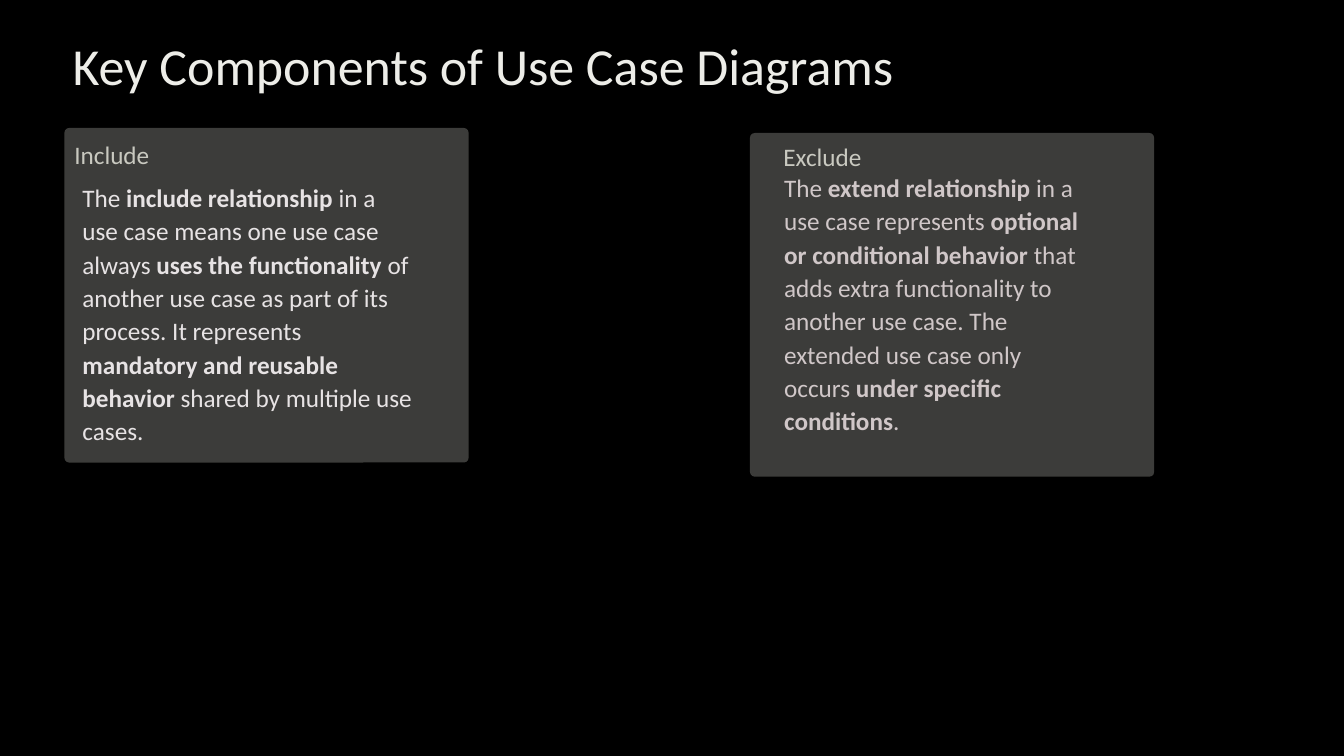
from pptx import Presentation
from pptx.dml.color import RGBColor
from pptx.enum import shapes, text
from pptx.util import Pt

LEFT, CENTER = text.PP_ALIGN.LEFT, text.PP_ALIGN.CENTER


def color(hex_string):
    return RGBColor.from_string(hex_string)


def add_text(slide, box, content, size=18, fill="FFFFFF", spacing=22.9,
             align=LEFT, inset=(7.2, 3.6)):
    """Add a one-paragraph text box; parts between ** marks are bold."""
    sp = slide.shapes.add_textbox(*map(Pt, box))
    tf = sp.text_frame
    tf.word_wrap = True
    tf.margin_left = tf.margin_right = Pt(inset[0])
    tf.margin_top = tf.margin_bottom = Pt(inset[1])
    p = tf.paragraphs[0]
    p.alignment = align
    p.line_spacing = Pt(spacing)
    for i, part in enumerate(content.split("**")):
        r = p.add_run()
        r.text = part
        r.font.name = "Calibri"
        r.font.size = Pt(size)
        r.font.bold = i % 2 == 1
        r.font.color.rgb = color(fill)


def add_title(slide, box, content):
    add_text(slide, box, content, size=37.1, fill="EDEDE8", spacing=46.2,
             inset=(0, 0))


def add_card(slide, box, heading, body, heading_box, body_box, body_fill,
             heading_align=LEFT):
    """Draw a panel; heading_box and body_box are relative to its corner."""
    x, y = box[:2]
    sp = slide.shapes.add_shape(shapes.MSO_SHAPE.ROUNDED_RECTANGLE,
                                *map(Pt, box))
    sp.adjustments[0] = 0.014
    sp.shadow.inherit = False
    sp.fill.solid()
    sp.fill.fore_color.rgb = color("3C3C3A")
    sp.line.fill.background()

    def inside(part):
        return (x + part[0], y + part[1], *part[2:])

    add_text(slide, inside(heading_box), heading, fill="C9C9C0",
             align=heading_align)
    add_text(slide, inside(body_box), body, fill=body_fill, spacing=23.8)


def main():
    prs = Presentation()
    prs.slide_width, prs.slide_height = Pt(960), Pt(540)
    slide = prs.slides.add_slide(prs.slide_layouts[6])
    slide.background.fill.solid()
    slide.background.fill.fore_color.rgb = color("000000")

    add_title(slide, (52, 22.3, 740, 46.8),
              "Key Components of Use Case Diagrams")
    add_card(slide, (46, 91.4, 288.7, 239), "Include",
             "The **include relationship** in a use case means one use case "
             "always **uses the functionality** of another use case as part "
             "of its process. It represents **mandatory and reusable "
             "behavior** shared by multiple use cases.",
             heading_box=(0, 3.6, 73.4, 29.5),
             body_box=(5.8, 33.1, 251.3, 199.4), body_fill="E7E3E4")
    add_card(slide, (535.7, 95, 288.7, 245.5), "Exclude",
             "The **extend relationship** in a use case represents "
             "**optional or conditional behavior** that adds extra "
             "functionality to another use case. The extended use case only "
             "occurs **under specific conditions**.",
             heading_box=(12.2, 0.8, 79.2, 28.8),
             body_box=(17.3, 22.4, 231.8, 199.4), body_fill="D0C7C8",
             heading_align=CENTER)
    prs.save("out.pptx")


if __name__ == "__main__":
    main()
